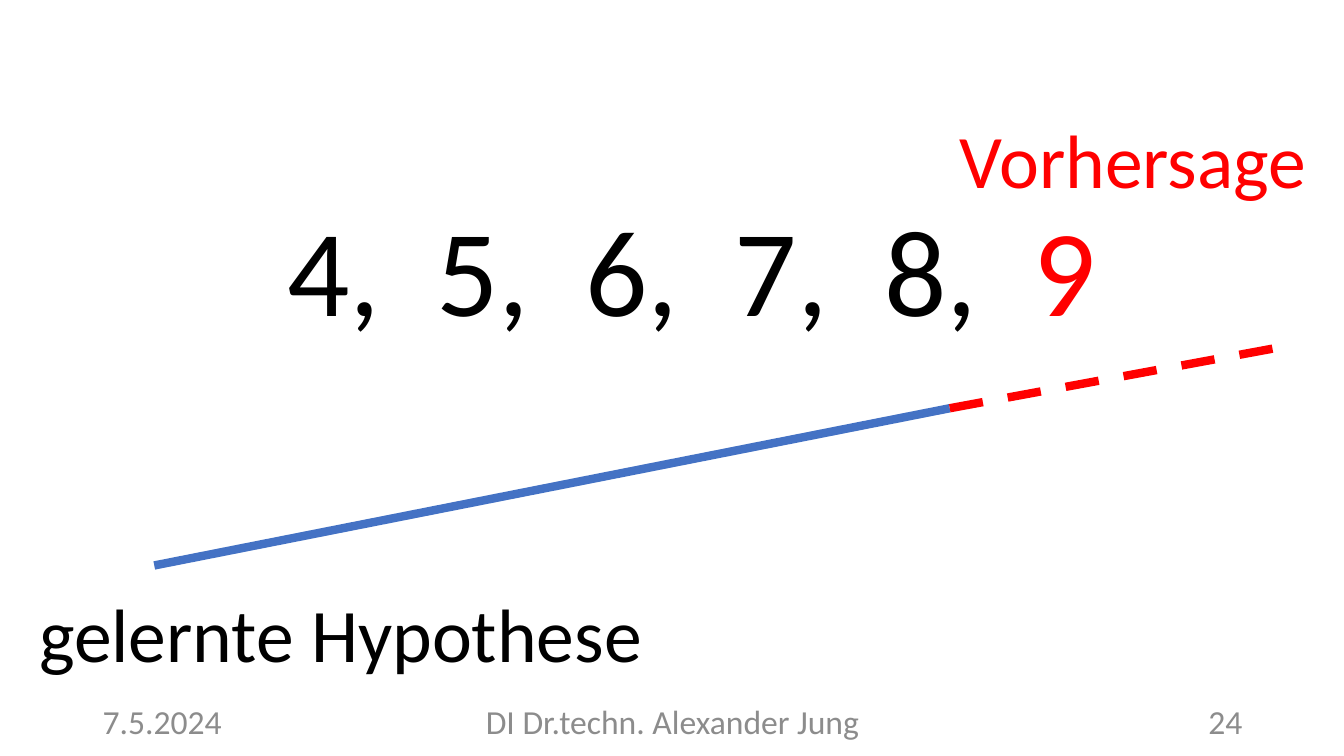
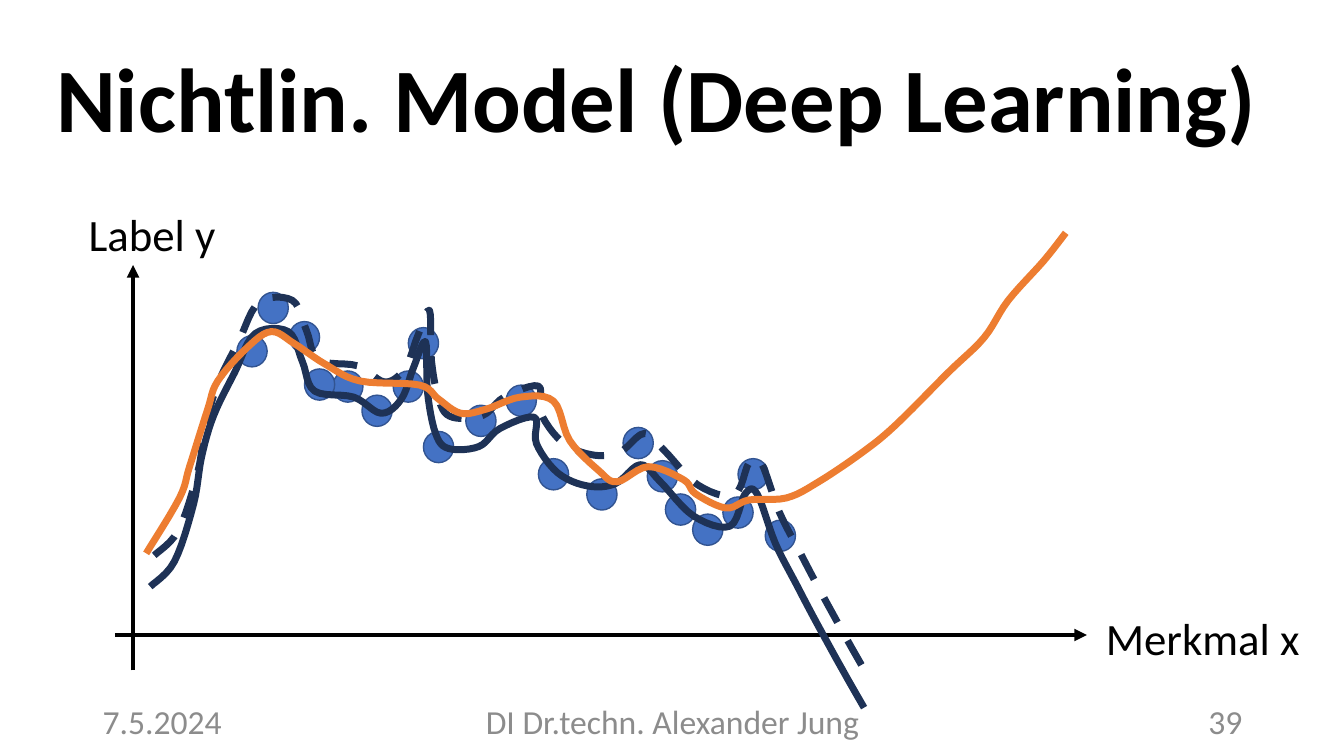
from lxml import etree
from pptx import Presentation
from pptx.dml.color import RGBColor
from pptx.enum.dml import MSO_LINE
from pptx.enum.shapes import MSO_CONNECTOR, MSO_SHAPE
from pptx.enum.text import MSO_ANCHOR, MSO_AUTO_SIZE, PP_ALIGN
from pptx.oxml.ns import qn
from pptx.util import Inches, Pt

STRAIGHT = MSO_CONNECTOR.STRAIGHT
OVAL = MSO_SHAPE.OVAL
DASH = MSO_LINE.DASH
MIDDLE = MSO_ANCHOR.MIDDLE
GROW = MSO_AUTO_SIZE.SHAPE_TO_FIT_TEXT
LEFT, CENTER, RIGHT = PP_ALIGN.LEFT, PP_ALIGN.CENTER, PP_ALIGN.RIGHT

BLACK, GRAY, RED = "000000", "8C8C8C", "FF0000"
BLUE, NAVY, RIM, ORANGE = "4472C4", "1E3256", "325491", "ED7D31"

FONT = "Calibri"
FOOT = {"size": 24, "color": GRAY}
TITLE = {"size": 64.8, "color": BLACK, "bold": True}
LABEL = {"size": 54, "color": BLACK}
AXIS = {"size": 32, "color": BLACK}
DIGIT = {"size": 88, "color": BLACK}

DIGIT_STEP = 1.48
CURVE_STEPS = 6
DOT_SIZE = (0.3, 0.31)

DOTS = [
    (1.35, 1.33), (2.3, 1.68), (3.2, 2.28), (4.02, 1.82), (2.9, 1.68),
    (1.87, 1.19), (4.34, 2.55), (5.18, 2.24), (5.87, 3.1), (6.32, 2.55),
    (3.62, 2.02), (3.05, 1.25), (4.82, 2.75), (5.42, 2.57), (5.6, 2.9),
    (6.17, 2.93), (6.59, 3.16), (1.56, 0.9), (2.02, 1.66), (2.59, 1.92),
]

CLOSE_FIT = [
    (0.49, 3.82), (0.73, 3.57), (0.92, 3), (1, 2.53), (1.12, 2.12),
    (1.33, 1.69), (1.53, 1.31), (1.86, 1.29), (2, 1.59), (2.12, 1.88),
    (2.51, 1.94), (2.78, 2.1), (2.98, 1.96), (3.1, 1.65), (3.22, 1.39),
    (3.24, 1.89), (3.32, 2.3), (3.45, 2.45), (3.75, 2.43), (3.96, 2.25),
    (4.3, 2.14), (4.32, 2.4), (4.53, 2.69), (4.82, 2.82), (5.1, 2.8),
    (5.35, 2.61), (5.55, 2.78), (5.88, 3.12), (6.24, 3.22), (6.39, 2.9),
    (6.51, 2.9), (6.69, 3.39), (6.9, 3.8), (7.1, 4.18), (7.37, 4.67),
    (7.57, 5.02),
]

SMOOTH_FIT = [
    (0.45, 3.49), (0.78, 2.94), (0.88, 2.63), (1.06, 2.06), (1.16, 1.78),
    (1.45, 1.45), (1.69, 1.29), (1.92, 1.41), (2.22, 1.61), (2.57, 1.78),
    (3.16, 1.82), (3.35, 1.96), (3.57, 2.1), (3.82, 2.06), (4.16, 1.94),
    (4.49, 1.98), (4.65, 2.37), (4.94, 2.67), (5.12, 2.78), (5.43, 2.63),
    (5.78, 2.76), (5.9, 2.9), (6.2, 3.04), (6.43, 2.96), (6.8, 2.94),
    (7.12, 2.78), (7.55, 2.49), (7.88, 2.22), (8.41, 1.69), (8.76, 1.35),
    (9, 0.98), (9.35, 0.59), (9.57, 0.31),
]

CURVES = [
    {"knots": CLOSE_FIT, "shift": (0, 0), "color": NAVY, "dash": None},
    {"knots": CLOSE_FIT, "shift": (0.04, -0.31), "color": NAVY, "dash": DASH},
    {"knots": SMOOTH_FIT, "shift": (0, 0), "color": ORANGE, "dash": None},
]


def paint(target, color):
    target.rgb = RGBColor.from_string(color)


def style(target, values):
    for name, value in values.items():
        setattr(target, name, value)


def add_run(para, text, look):
    run = para.add_run()
    run.text = text
    values = {"name": FONT, "size": Pt(look["size"]), "bold": look.get("bold", False)}
    style(run.font, values)
    paint(run.font.color, look["color"])


def add_text(slide, box, text, look, frame=None, para=None):
    area = slide.shapes.add_textbox(*map(Inches, box)).text_frame
    style(area, {"word_wrap": True, **(frame or {})})
    first = area.paragraphs[0]
    style(first, para or {})
    if text:
        add_run(first, text, look)
    return first


def add_label(slide, box, text, look):
    add_text(slide, box, text, look, {"word_wrap": False, "auto_size": GROW})


def stroke(line, color, width, dash=None):
    paint(line.color, color)
    style(line, {"width": Pt(width), "dash_style": dash})


def add_line(slide, start, end, color, width, dash=None, arrow=False):
    link = slide.shapes.add_connector(STRAIGHT, *map(Inches, start + end))
    stroke(link.line, color, width, dash)
    if arrow:
        etree.SubElement(link.line._get_or_add_ln(), qn("a:tailEnd"), type="triangle")
    etree.SubElement(link._element.spPr, qn("a:effectLst"))


def blend(before, start, end, after, t):
    slope = end - before
    bend = 2 * before - 5 * start + 4 * end - after
    twist = 3 * (start - end) + after - before
    return start + (slope * t + bend * t ** 2 + twist * t ** 3) / 2


def smooth(knots):
    padded = [knots[0], *knots, knots[-1]]
    points = [knots[0]]
    for group in zip(padded, padded[1:], padded[2:], padded[3:]):
        for step in range(1, CURVE_STEPS + 1):
            t = step / CURVE_STEPS
            points.append(tuple(blend(*axis, t) for axis in zip(*group)))
    return points


def add_curve(slide, left, top, knots, shift, color, dash):
    points = [(Inches(left + shift[0] + x), Inches(top + shift[1] + y))
              for x, y in smooth(knots)]
    pen = slide.shapes.build_freeform(*points[0])
    pen.add_line_segments(points[1:], close=False)
    curve = pen.convert_to_shape()
    curve.shadow.inherit = False
    curve.fill.background()
    stroke(curve.line, color, 5, dash)


def add_dot(slide, left, top):
    dot = slide.shapes.add_shape(OVAL, *map(Inches, (left, top) + DOT_SIZE))
    dot.shadow.inherit = False
    dot.fill.solid()
    paint(dot.fill.fore_color, BLUE)
    stroke(dot.line, RIM, 1)


def add_footer(slide, box, number):
    left, top, width, height = box
    parts = [
        (0, 3, "7.5.2024", LEFT),
        (3.5, 4.5, "DI Dr.techn. Alexander Jung", CENTER),
        (width - 3, 3, str(number), RIGHT),
    ]
    for shift, span, text, align in parts:
        add_text(slide, (left + shift, top, span, height), text, FOOT,
                 {"vertical_anchor": MIDDLE}, {"alignment": align})


def add_series(slide, box, digits, guess):
    para = add_text(slide, box, "", DIGIT)
    stops = etree.SubElement(para._p.get_or_add_pPr(), qn("a:tabLst"))
    for step in range(1, len(digits) + 1):
        etree.SubElement(stops, qn("a:tab"), pos=str(Inches(DIGIT_STEP * step)), algn="l")
    add_run(para, "".join(f"{digit},\t" for digit in digits), DIGIT)
    add_run(para, guess, {**DIGIT, "color": RED})


def add_trend(slide, box):
    left, top, width, height = box
    bend = (left + 7.89, top + 0.6)
    add_line(slide, (left, top + height), bend, BLUE, 6)
    add_line(slide, bend, (left + width, top), RED, 6, DASH)


def add_axes(slide, box):
    left, top, width, height = box
    base = top + 4.3
    stem = left + 0.32
    add_line(slide, (left + 0.14, base), (left + width, base), BLACK, 3, arrow=True)
    add_line(slide, (stem, top + height), (stem, top + 0.63), BLACK, 3, arrow=True)
    add_label(slide, (left + width + 0.09, base - 0.29, 2.14, 0.64), "Merkmal x", AXIS)
    add_label(slide, (left - 0.22, top, 1.47, 0.64), "Label y", AXIS)


def add_plot(slide, box):
    left, top = box[:2]
    add_axes(slide, box)
    for x, y in DOTS:
        add_dot(slide, left + x, top + y)
    for curve in CURVES:
        add_curve(slide, left, top, **curve)


def new_slide(deck, number):
    slide = deck.slides.add_slide(deck.slide_layouts[6])
    add_footer(slide, (0.92, 6.95, 11.5, 0.4), number)
    return slide


def guess_slide(deck):
    slide = new_slide(deck, 24)
    add_series(slide, (2.75, 1.87, 8.29, 1.58), "45678", "9")
    add_trend(slide, (1.53, 3.45, 11.14, 2.16))
    add_label(slide, (0.29, 5.77, 6.24, 1.01), "gelernte Hypothese", LABEL)
    add_label(slide, (9.42, 1.07, 3.68, 1.01), "Vorhersage", {**LABEL, "color": RED})


def model_slide(deck):
    slide = new_slide(deck, 39)
    add_text(slide, (0.46, 0.3, 12.41, 1.45), "Nichtlin. Model (Deep Learning)", TITLE,
             {"vertical_anchor": MIDDLE}, {"line_spacing": 0.9})
    add_plot(slide, (1, 2, 9.78, 4.65))


def main():
    deck = Presentation()
    style(deck, {"slide_width": Inches(13.33), "slide_height": Inches(7.5)})
    guess_slide(deck)
    model_slide(deck)
    deck.save("out.pptx")


if __name__ == "__main__":
    main()
